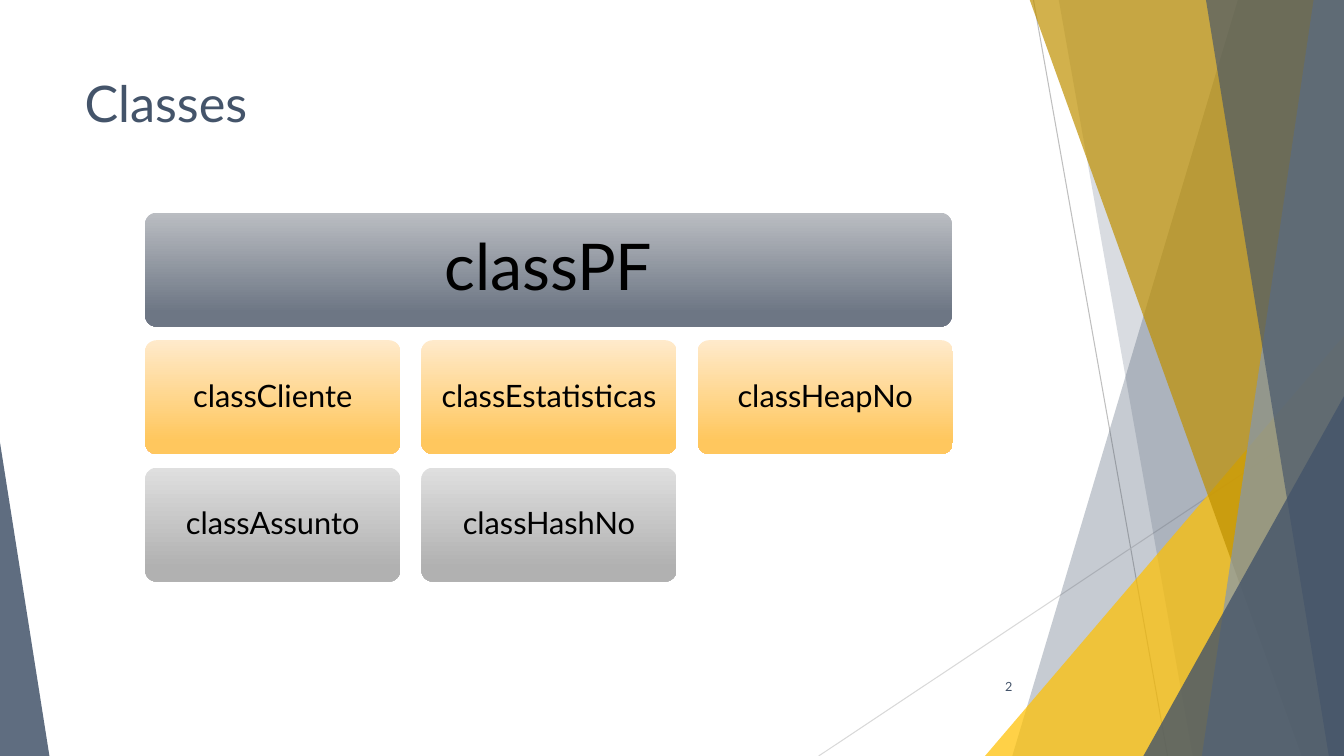
from pptx import Presentation
from pptx.dml.color import RGBColor
from pptx.enum.shapes import MSO_CONNECTOR, MSO_SHAPE
from pptx.enum.text import MSO_ANCHOR as Anchor, PP_ALIGN as Align
from pptx.oxml.ns import qn
from pptx.util import Inches, Pt
from lxml.etree import SubElement

COLORS = {
    "slate": "44546A", "mist": "8497B0", "gold": "FFC000", "ochre": "BF9000",
    "gray": "BFBFBF", "light gray": "D9D9D9", "black": "000000",
}
GRADIENTS = {
    "slate": ("BABDC2", "6D7684"),
    "amber": ("FFEACB", "FFC75E"),
    "silver": ("DFDFDF", "B1B1B1"),
}
WIDTH, HEIGHT = 13.33, 7.5


def paint(shape, color, opacity):
    """Fill a shape with a see-through colour, without outline or shadow."""
    shape.shadow.inherit = False
    shape.line.fill.background()
    shape.fill.solid()
    shape.fill.fore_color.rgb = RGBColor.from_string(COLORS[color])
    rgb = shape.element.spPr.find(".//" + qn("a:srgbClr"))
    SubElement(rgb, qn("a:alpha")).set("val", str(opacity * 1000))


def write(shape, text, size, color, align, anchor, inset=(0.1, 0.05)):
    frame = shape.text_frame
    frame.word_wrap = True
    frame.vertical_anchor = anchor
    frame.margin_left = frame.margin_right = Inches(inset[0])
    frame.margin_top = frame.margin_bottom = Inches(inset[1])
    paragraph = frame.paragraphs[0]
    paragraph.alignment = align
    run = paragraph.add_run()
    run.text = text
    run.font.name = "Lato"
    run.font.size = Pt(size)
    run.font.color.rgb = RGBColor.from_string(COLORS[color])
    return paragraph


presentation = Presentation()
presentation.slide_width = Inches(WIDTH)
presentation.slide_height = Inches(HEIGHT)
slide = presentation.slides.add_slide(presentation.slide_layouts[6])
shapes = slide.shapes

# Thin lines behind the bands
for x1, y1, x2, y2, color in [
    (10.25, 0, 11.58, HEIGHT, "gray"),
    (WIDTH, 4.03, 8.12, HEIGHT, "light gray"),
]:
    line = shapes.add_connector(
        MSO_CONNECTOR.STRAIGHT, Inches(x1), Inches(y1), Inches(x2), Inches(y2))
    line.line.color.rgb = RGBColor.from_string(COLORS[color])
    line.line.width = Pt(0.75)
    SubElement(line.element.spPr, qn("a:effectLst"))

# Bands reach the right edge: left end at the top, left end at the bottom.
# Triangles: left, top, width, position of the tip.
for kind, geometry, color, opacity in [
    ("band", (12.28, 10.04), "slate", 30),
    ("band", (10.5, 11.83), "slate", 20),
    ("triangle", (9.77, 3.33, 3.56, 1), "gold", 72),
    ("band", (10.21, 12.91), "ochre", 70),
    ("band", (13.03, 11.92), "mist", 70),
    ("band", (11.96, 13.18), "slate", 65),
    ("triangle", (11.34, 3.93, 1.99, 1), "slate", 80),
    ("triangle", (0, 4.39, 0.49, 0), "slate", 85),
]:
    if kind == "band":
        top_x, bottom_x = geometry
        builder = shapes.build_freeform(Inches(top_x), Inches(-0.01))
        builder.add_line_segments([
            (Inches(WIDTH), Inches(-0.01)),
            (Inches(WIDTH), Inches(HEIGHT)),
            (Inches(bottom_x), Inches(HEIGHT)),
        ])
        decoration = builder.convert_to_shape()
    else:
        left, top, width, tip = geometry
        decoration = shapes.add_shape(
            MSO_SHAPE.ISOSCELES_TRIANGLE, Inches(left), Inches(top),
            Inches(width), Inches(HEIGHT - top))
        decoration.adjustments[0] = tip
    paint(decoration, color, opacity)

title = shapes.add_textbox(Inches(0.74), Inches(0.67), Inches(9.4), Inches(1.44))
write(title, "Classes", 36, "slate", Align.LEFT, Anchor.TOP)

number = shapes.add_textbox(Inches(9.39), Inches(6.61), Inches(0.75), Inches(0.4))
write(number, "2", 9, "slate", Align.RIGHT, Anchor.MIDDLE)

# Class boxes, row by row
BOX_LEFT, BOX_TOP, BOX_HEIGHT = 1.44, 2.11, 1.13
COLUMN_STEP, ROW_STEP = 2.74, 1.265
for row, (names, gradient, box_width, size, inset) in enumerate([
    (["classPF"], "slate", 8, 46, 0.22),
    (["classCliente", "classEstatisticas", "classHeapNo"], "amber", 2.53, 22, 0.12),
    (["classAssunto", "classHashNo"], "silver", 2.53, 22, 0.12),
]):
    for column, name in enumerate(names):
        box = shapes.add_shape(
            MSO_SHAPE.ROUNDED_RECTANGLE,
            Inches(BOX_LEFT + column * COLUMN_STEP), Inches(BOX_TOP + row * ROW_STEP),
            Inches(box_width), Inches(BOX_HEIGHT))
        box.adjustments[0] = 0.1
        box.shadow.inherit = False
        box.line.fill.background()
        box.fill.gradient()
        box.fill.gradient_angle = 270
        for stop, position, rgb in zip(
                box.fill.gradient_stops, (0, 0.88), GRADIENTS[gradient]):
            stop.position = position
            stop.color.rgb = RGBColor.from_string(rgb)
        paragraph = write(
            box, name, size, "black", Align.CENTER, Anchor.MIDDLE, (inset, inset))
        paragraph.line_spacing = 0.9

presentation.save("out.pptx")
